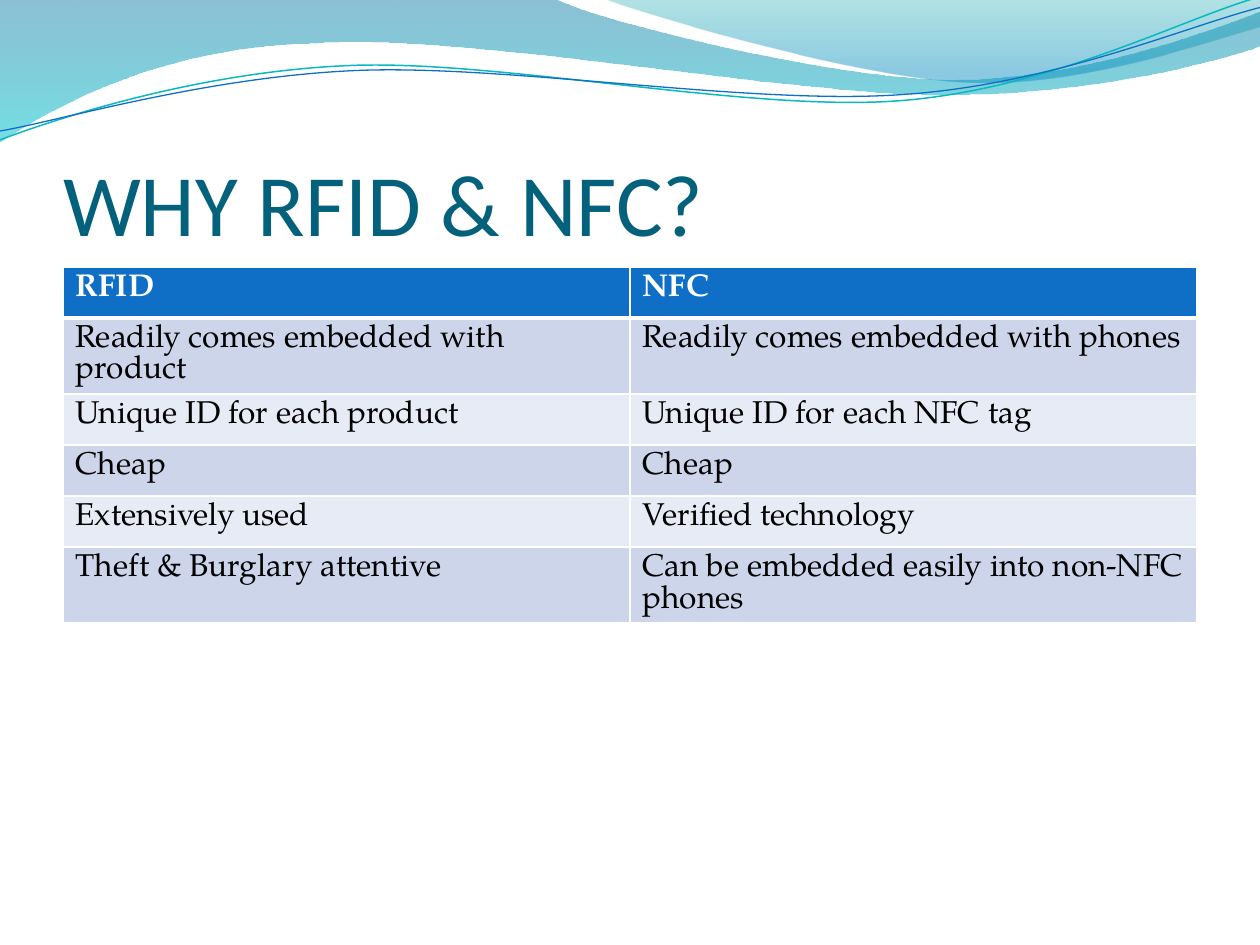
import math

import pptx
import pptx.dml.color
import pptx.enum.text
import pptx.oxml
import pptx.oxml.ns
import pptx.util

COLORS = {
    "title": "04617B", "header": "0F6FC6", "white": "FFFFFF", "black": "000000",
    "band": "CCD5EA", "band_light": "E7EBF5", "teal_line": "0AB8BF",
    "deep": "0074A1", "aqua": "00C6CF", "sea": "00A1A9", "sky": "008BBF",
}
COLUMNS = 10  # the grid cells are square, so the slide has 7.5 rows
TILT = -2.7  # degrees

# Each wave is a start point, Bezier segments of three points and straight segments of one.
WIDE_WAVE = [
    [(0, 0)], [(4.4, -0.01)],
    [(4.76, 0.17), (6.64, 0.63), (7.58, 0.63)], [(8.53, 0.63), (9.58, 0.26), (10, 0.09)],
    [(10.01, 0.36)],
    [(9.83, 0.44), (8.7, 0.76), (7.46, 0.75)], [(6.22, 0.75), (3.82, 0.28), (2.57, 0.34)],
    [(1.29, 0.36), (0.46, 0.83), (-0.01, 1.13)], [(0, 0)],
]
RIGHT_WAVE = [
    [(4.79, -0.01)],
    [(5.09, 0.11), (6.82, 0.62), (7.69, 0.65)], [(8.56, 0.69), (9.61, 0.32), (10, 0.21)],
    [(10, 0)], [(4.79, -0.01)],
]
TEAL_CURVE = [
    [(0, 1.11)],
    [(0.48, 0.93), (1.58, 0.57), (2.77, 0.52)], [(3.95, 0.47), (5.93, 0.89), (7.13, 0.8)],
    [(8.33, 0.71), (9.38, 0.15), (9.98, -0.02)],
]
BLUE_CURVE = [
    [(0, 1.04)],
    [(0.47, 0.96), (1.64, 0.61), (2.83, 0.56)], [(4.03, 0.51), (5.97, 0.84), (7.17, 0.75)],
    [(8.36, 0.67), (9.41, 0.21), (10, 0.06)],
]
ROWS = [
    ("RFID", "NFC"),
    ("Readily comes embedded with product", "Readily comes embedded with phones"),
    ("Unique ID for each product", "Unique ID for each NFC tag"),
    ("Cheap", "Cheap"),
    ("Extensively used", "Verified technology"),
    ("Theft & Burglary attentive", "Can be embedded easily into non-NFC phones"),
]


def rgb(name):
    return pptx.dml.color.RGBColor.from_string(COLORS[name])


def turn(point, center, degrees):
    """Turn a point clockwise about a center."""
    cos, sin = math.cos(math.radians(degrees)), math.sin(math.radians(degrees))
    dx, dy = point[0] - center[0], point[1] - center[1]
    return center[0] + dx * cos - dy * sin, center[1] + dx * sin + dy * cos


class Deck:
    heading_font = "Calibri"
    body_font = "TeX Gyre Pagella"

    def __init__(self):
        self.prs = pptx.Presentation()
        self.prs.slide_width = pptx.util.Inches(10)
        self.prs.slide_height = pptx.util.Inches(7.5)
        self.cell = self.prs.slide_width / COLUMNS
        self.s = self.prs.slides.add_slide(self.prs.slide_layouts[5])

    def grid(self, *lengths):
        return [round(length * self.cell) for length in lengths]

    def run(self, p, text, font, size, color, bold=False):
        r = p.add_run()
        r.text = text
        r.font.name, r.font.size, r.font.bold = font, pptx.util.Pt(size), bold
        r.font.color.rgb = rgb(color)

    def outline(self, segments, close):
        """Build a freeform, then join each Bezier segment's three lines into one curve."""
        start, *rest = [self.grid(*point) for segment in segments for point in segment]
        builder = self.s.shapes.build_freeform(*start)
        builder.add_line_segments(rest, close=close)
        sp = builder.convert_to_shape()
        sp.shadow.inherit = False
        lines = iter(list(sp.element.iter(pptx.oxml.ns.qn("a:lnTo"))))
        for segment in segments[1:]:
            parts = [next(lines) for _ in segment]
            if len(parts) == 3:
                bezier = parts[0].makeelement(pptx.oxml.ns.qn("a:cubicBezTo"), {})
                parts[0].addprevious(bezier)
                for part in parts:
                    bezier.append(part[0])
                    part.getparent().remove(part)
        return sp

    def wave(self, segments, *stops):
        """Draw a filled wave; each stop is position, colour and opacity in percent."""
        sp = self.outline(segments, close=True)
        sp.line.fill.background()
        sp.fill.gradient()
        sp.fill.gradient_angle = 270
        for stop, (position, color, _) in zip(sp.fill.gradient_stops, stops):
            stop.position = position / 100
            stop.color.rgb = rgb(color)
        colors = sp.element.spPr.iter(pptx.oxml.ns.qn("a:srgbClr"))
        for clr, (_, _, opacity) in zip(colors, stops):
            alpha = clr.makeelement(pptx.oxml.ns.qn("a:alpha"), {"val": str(opacity * 1000)})
            clr.append(alpha)

    def curve(self, segments, center, color, width):
        """Draw an open curve as a level shape that is tilted about its center."""
        level = [[turn(point, center, -TILT) for point in segment] for segment in segments]
        sp = self.outline(level, close=False)
        sp.rotation = TILT
        sp.fill.background()
        sp.line.color.rgb = rgb(color)
        sp.line.width = pptx.util.Pt(width)

    def title(self, text, left, top, width, height):
        sp = self.s.shapes.title
        sp.left, sp.top, sp.width, sp.height = self.grid(left, top, width, height)
        tf = sp.text_frame
        tf.word_wrap = True
        tf.auto_size = pptx.enum.text.MSO_AUTO_SIZE.NONE
        tf.vertical_anchor = pptx.enum.text.MSO_ANCHOR.BOTTOM
        tf.margin_left = tf.margin_right = tf.margin_bottom = 0
        tf.margin_top = pptx.util.Inches(0.05)
        p = tf.paragraphs[0]
        p.alignment = pptx.enum.text.PP_ALIGN.LEFT
        self.run(p, text, self.heading_font, 50, "title")

    def borders(self, cell, **widths):
        tc_pr = cell._tc.get_or_add_tcPr()
        for index, side in enumerate("LRTB"):
            width = pptx.util.Pt(widths.get(side, 1))
            tc_pr.insert(index, pptx.oxml.parse_xml(
                f'<a:ln{side} {pptx.oxml.ns.nsdecls("a")} w="{width}"><a:solidFill>'
                f'<a:srgbClr val="{COLORS["white"]}"/></a:solidFill></a:ln{side}>'))

    def table(self, rows, left, top, width, height):
        frame = self.s.shapes.add_table(
            len(rows), len(rows[0]), *self.grid(left, top, width, height))
        for i, texts in enumerate(rows):
            header = i == 0
            fill = "header" if header else "band" if i % 2 else "band_light"
            for j, text in enumerate(texts):
                cell = frame.table.cell(i, j)
                cell.fill.solid()
                cell.fill.fore_color.rgb = rgb(fill)
                self.borders(cell, T=3 if i == 1 else 1, B=3 if header else 1)
                self.run(cell.text_frame.paragraphs[0], text, self.body_font, 18,
                         "white" if header else "black", bold=header)


def main():
    deck = Deck()
    deck.wave(WIDE_WAVE, (0, "deep", 45), (100, "aqua", 55))
    deck.wave(RIGHT_WAVE, (0, "sea", 30), (80, "sky", 45))
    deck.curve(TEAL_CURVE, (4.99, 0.58), "teal_line", 0.85)
    deck.curve(BLUE_CURVE, (5, 0.59), "header", 0.75)
    deck.title("WHY RFID & NFC?", 0.5, 0.77, 9, 1.25)
    deck.table(ROWS, 0.5, 2.12, 9, 2.43)
    deck.prs.save("out.pptx")


if __name__ == "__main__":
    main()
